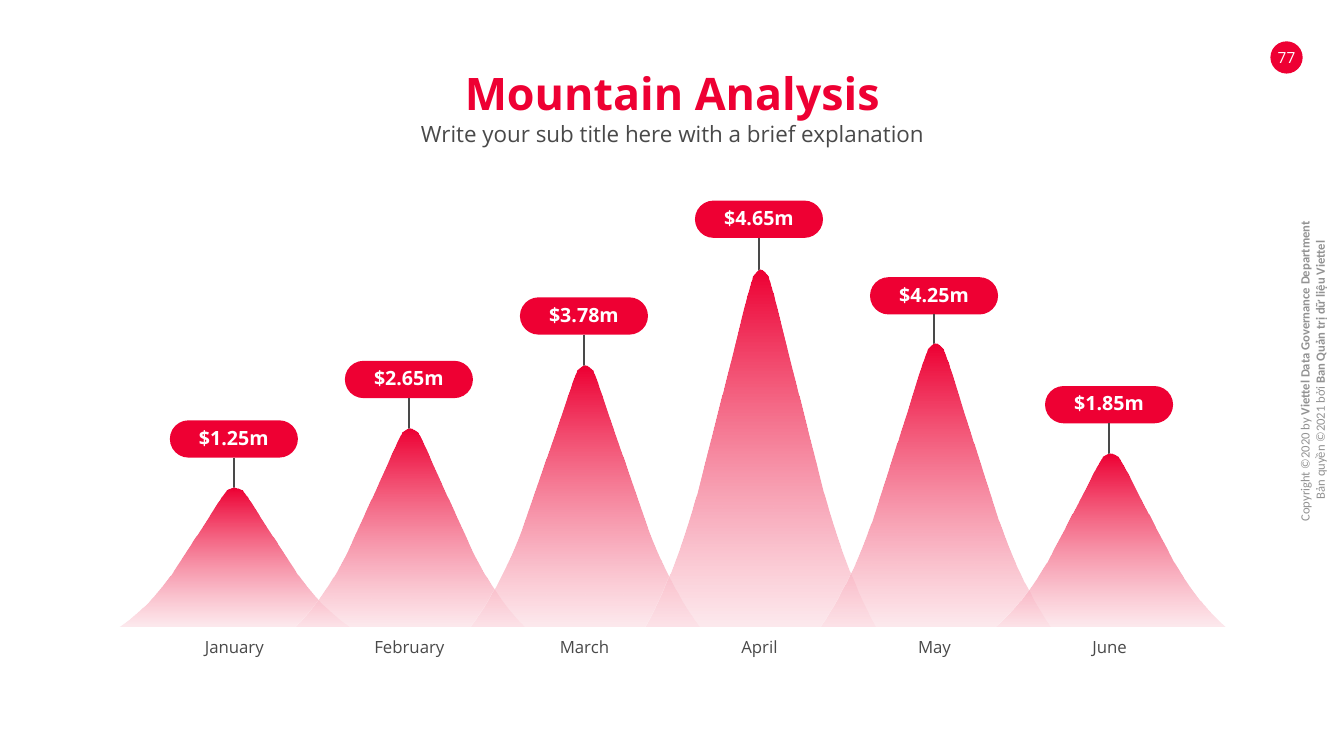
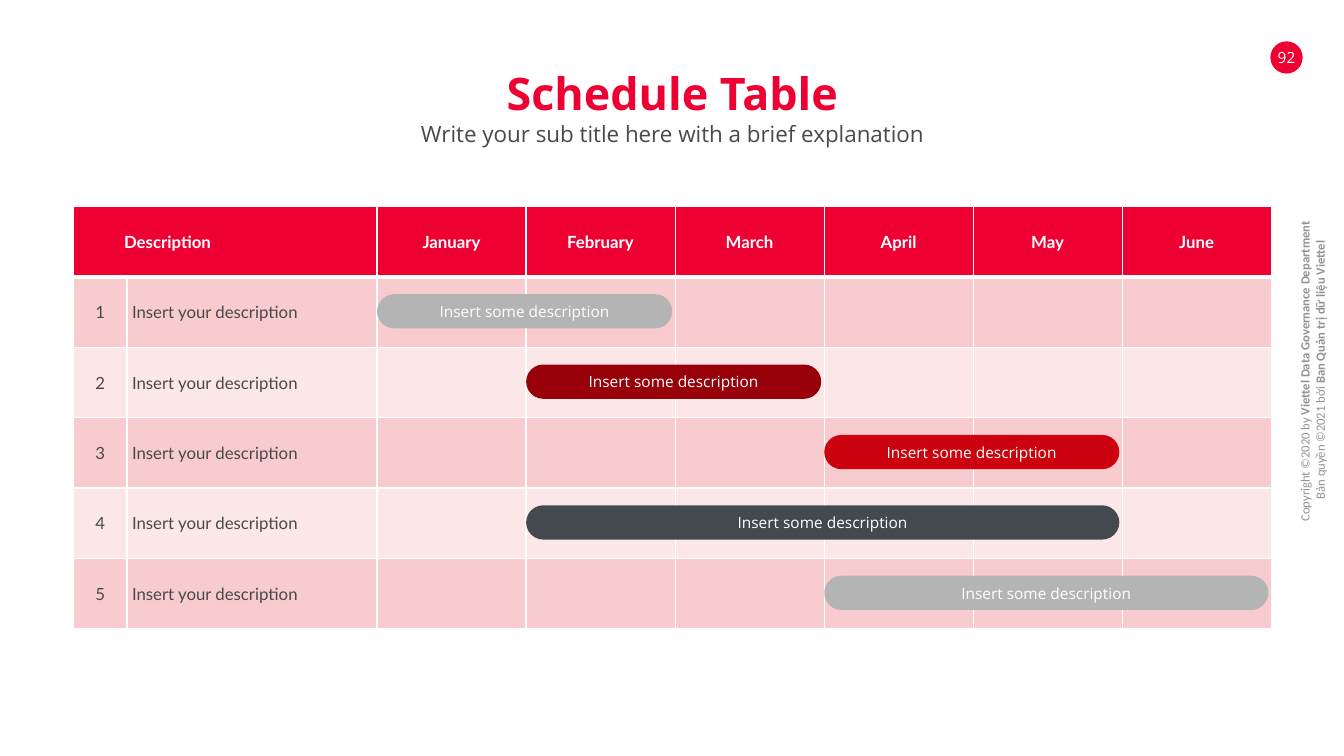
from lxml import etree
from pptx import Presentation
from pptx.dml.color import RGBColor
from pptx.enum.shapes import MSO_CONNECTOR, MSO_SHAPE
from pptx.enum.text import MSO_ANCHOR, PP_ALIGN
from pptx.oxml import parse_xml
from pptx.oxml.ns import nsdecls, qn
from pptx.util import Inches, Pt

COLORS = {
    "red": "EE0033", "pale": "FDE0E6", "text": "494949", "muted": "929292",
    "white": "FFFFFF", "band": "F8CCCE", "band_light": "FCE7E8",
    "silver": "B5B4B4", "maroon": "98010A", "crimson": "CC020E", "slate": "44494D",
}
FONT = "Open Sans"
TABLE_FONT = "Lato"
COPYRIGHT_FONT = "Calibri"

SUBTITLE = "Write your sub title here with a brief explanation"
COPYRIGHT = [
    ("Copyright ©2020 by ", "Viettel Data Governance Department "),
    ("Bản quyền ©2021 bởi ", "Ban Quản trị dữ liệu Viettel"),
]
MONTHS = ["January", "February", "March", "April", "May", "June"]
PEAKS = [("$1.25m", 4.17, 4.84), ("$2.65m", 3.58, 4.25), ("$3.78m", 2.95, 3.63),
         ("$4.65m", 1.99, 2.67), ("$4.25m", 2.75, 3.41), ("$1.85m", 3.83, 4.5)]
TASK = "Insert your description"
BAR_LABEL = "Insert some description"
BARS = [(0, 2, "silver"), (1, 2, "maroon"), (3, 2, "crimson"), (1, 4, "slate"), (3, 3, "silver")]

FIRST_PEAK, LAST_PEAK, BASELINE = 2.33, 11.01, 6.22
PILL_W, PILL_H, STEM = 1.27, 0.37, 0.33
HALF_W = 1.14
SLOPE = [
    (0, 0), (0.03, 0), (0.05, 0.01), (0.08, 0.02),
    (0.08, 0.03), (0.09, 0.03), (0.1, 0.04),
    (0.14, 0.08), (0.41, 0.39), (0.63, 0.63),
    (0.85, 0.86), (HALF_W, 1), (HALF_W, 1),
]
TABLE_X, TABLE_Y, TABLE_W, TABLE_H = 0.73, 2.05, 11.88, 4.19
LABEL_WIDTHS = [0.53, 2.48]
MONTH_W = (TABLE_W - sum(LABEL_WIDTHS)) / len(MONTHS)
ROW_H = TABLE_H / (len(BARS) + 1)


def rgb(name):
    return RGBColor.from_string(COLORS[name])


def style(font, size, color, bold=False, name=FONT):
    font.size, font.bold, font.name = Pt(size), bold, name
    font.color.rgb = rgb(color)


def write(s, text, x, y, w, h, size, color, bold=False):
    tf = s.shapes.add_textbox(Inches(x), Inches(y), Inches(w), Inches(h)).text_frame
    tf.word_wrap = True
    tf.margin_left = tf.margin_right = tf.margin_top = tf.margin_bottom = 0
    p = tf.paragraphs[0]
    p.text, p.alignment = text, PP_ALIGN.CENTER
    style(p.runs[0].font, size, color, bold)


def badge(s, kind, text, x, y, w, h, fill, size, bold=False, lift=0):
    sp = s.shapes.add_shape(kind, Inches(x), Inches(y), Inches(w), Inches(h))
    sp.shadow.inherit = False
    if kind == MSO_SHAPE.ROUNDED_RECTANGLE:
        sp.adjustments[0] = 0.5
    sp.fill.solid()
    sp.fill.fore_color.rgb = rgb(fill)
    sp.line.fill.background()
    tf = sp.text_frame
    tf.margin_left = tf.margin_right = tf.margin_top = 0
    tf.margin_bottom = Inches(lift)
    tf.vertical_anchor = MSO_ANCHOR.MIDDLE
    p = tf.paragraphs[0]
    p.text, p.alignment = text, PP_ALIGN.CENTER
    style(p.runs[0].font, size, "white", bold)


def add_copyright(s):
    box = s.shapes.add_textbox(Inches(10.71), Inches(3.47), Inches(4.61), Inches(0.4))
    box.rotation = 270
    tf = box.text_frame
    tf.word_wrap = True
    for i, parts in enumerate(COPYRIGHT):
        p = tf.add_paragraph() if i else tf.paragraphs[0]
        p.alignment = PP_ALIGN.CENTER
        for part, bold in zip(parts, (False, True)):
            r = p.add_run()
            r.text = part
            style(r.font, 9, "muted", bold, COPYRIGHT_FONT)


def new_slide(prs, title, number):
    s = prs.slides.add_slide(prs.slide_layouts[6])
    add_copyright(s)
    badge(s, MSO_SHAPE.OVAL, number, 12.6, 0.41, 0.32, 0.32, "red", 11)
    write(s, title, 0.73, 0.65, 11.88, 0.54, 32, "red", True)
    write(s, SUBTITLE, 0.73, 1.19, 11.88, 0.27, 16, "text")
    return s


def curve_segments(sp):
    outline = sp._element.spPr.find(".//" + qn("a:path"))
    lines = outline.findall(qn("a:lnTo"))
    for i in range(0, len(lines), 3):
        curve = etree.Element(qn("a:cubicBezTo"))
        lines[i].addprevious(curve)
        for line in lines[i:i + 3]:
            curve.append(line[0])
            outline.remove(line)


def add_mountain(s, cx, top):
    outline = [(-x, y) for x, y in SLOPE[:0:-1]] + SLOPE
    points = [(Inches(cx + x), Inches(top + y * (BASELINE - top))) for x, y in outline]
    builder = s.shapes.build_freeform(*points[0])
    builder.add_line_segments(points[1:], close=True)
    sp = builder.convert_to_shape()
    curve_segments(sp)
    sp.shadow.inherit = False
    sp.line.fill.background()
    sp.fill.gradient()
    sp.fill.gradient_angle = 270
    for stop, color, position in zip(sp.fill.gradient_stops, ("red", "pale"), (0, 1)):
        stop.color.rgb, stop.position = rgb(color), position
    last_color = sp._element.spPr.findall(".//" + qn("a:srgbClr"))[-1]
    etree.SubElement(last_color, qn("a:alpha"), val="70000")


def add_stem(s, x, y):
    line = s.shapes.add_connector(MSO_CONNECTOR.STRAIGHT, Inches(x), Inches(y),
                                  Inches(x), Inches(y + STEM))
    line.line.color.rgb = rgb("text")
    line.line.width = Pt(1)
    etree.SubElement(line._element.spPr, qn("a:effectLst"))


def mountain_slide(prs):
    s = new_slide(prs, "Mountain Analysis", "77")
    step = (LAST_PEAK - FIRST_PEAK) / (len(PEAKS) - 1)
    centers = [FIRST_PEAK + i * step for i in range(len(PEAKS))]
    for cx, (value, pill_y, _) in zip(centers, PEAKS):
        pill_cx = cx - 0.01
        badge(s, MSO_SHAPE.ROUNDED_RECTANGLE, value, pill_cx - PILL_W / 2, pill_y,
              PILL_W, PILL_H, "red", 14, True, 0.03)
        add_stem(s, pill_cx, pill_y + PILL_H)
    for cx, (_, _, top) in zip(centers, PEAKS):
        add_mountain(s, cx, top)
    for cx, month in zip(centers, MONTHS):
        write(s, month, cx - 0.82, 6.32, 1.63, 0.2, 12, "text")


def set_borders(cell, top, bottom):
    tcPr = cell._tc.get_or_add_tcPr()
    for i, (side, width) in enumerate(zip("LRTB", (1, 1, top, bottom))):
        tcPr.insert(i, parse_xml(
            f'<a:ln{side} {nsdecls("a")} w="{Pt(width)}"><a:solidFill>'
            f'<a:srgbClr val="{COLORS["white"]}"/></a:solidFill></a:ln{side}>'))


def fill_cell(cell, text, row, col):
    header = row == 0
    cell.fill.solid()
    cell.fill.fore_color.rgb = rgb("red" if header else "band" if row % 2 else "band_light")
    set_borders(cell, 3 if row == 1 else 1, 3 if header else 1)
    cell.vertical_anchor = MSO_ANCHOR.MIDDLE
    cell.margin_left = Inches(0.5 if header and col == 0 else 0.05)
    cell.margin_right = Inches(0.05)
    cell.margin_top = cell.margin_bottom = Inches(0.03)
    if text:
        p = cell.text_frame.paragraphs[0]
        p.text = text
        left = col == 1 or header and col == 0
        p.alignment = PP_ALIGN.LEFT if left else PP_ALIGN.CENTER
        style(p.runs[0].font, 12, "white" if header else "text", header, TABLE_FONT)


def schedule_slide(prs):
    s = new_slide(prs, "Schedule Table", "92")
    rows = [["Description", ""] + MONTHS]
    rows += [[str(i + 1), TASK] + [""] * len(MONTHS) for i in range(len(BARS))]
    widths = LABEL_WIDTHS + [MONTH_W] * len(MONTHS)
    table = s.shapes.add_table(len(rows), len(widths), Inches(TABLE_X), Inches(TABLE_Y),
                               Inches(TABLE_W), Inches(TABLE_H)).table
    table.horz_banding = False
    for column, w in zip(table.columns, widths):
        column.width = Inches(w)
    for i, values in enumerate(rows):
        table.rows[i].height = Inches(ROW_H)
        for j, text in enumerate(values):
            fill_cell(table.cell(i, j), text, i, j)
    table.cell(0, 0).merge(table.cell(0, 1))

    months_x = TABLE_X + sum(LABEL_WIDTHS)
    for i, (start, months, color) in enumerate(BARS, 1):
        badge(s, MSO_SHAPE.ROUNDED_RECTANGLE, BAR_LABEL, months_x + start * MONTH_W,
              TABLE_Y + i * ROW_H + 0.17, months * MONTH_W - 0.03, 0.34, color, 11)


def main():
    prs = Presentation()
    prs.slide_width, prs.slide_height = Inches(13.33), Inches(7.5)
    mountain_slide(prs)
    schedule_slide(prs)
    prs.save("out.pptx")


if __name__ == "__main__":
    main()
